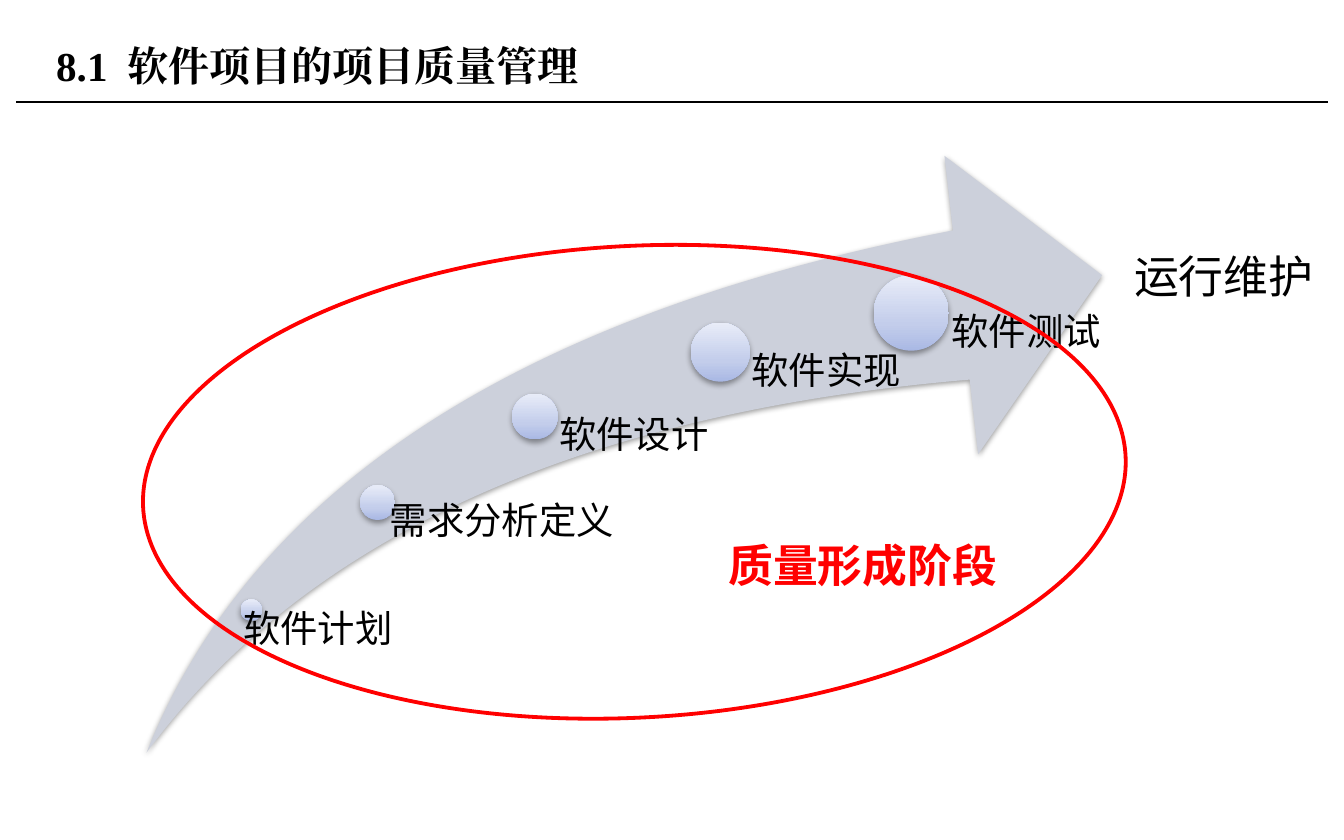
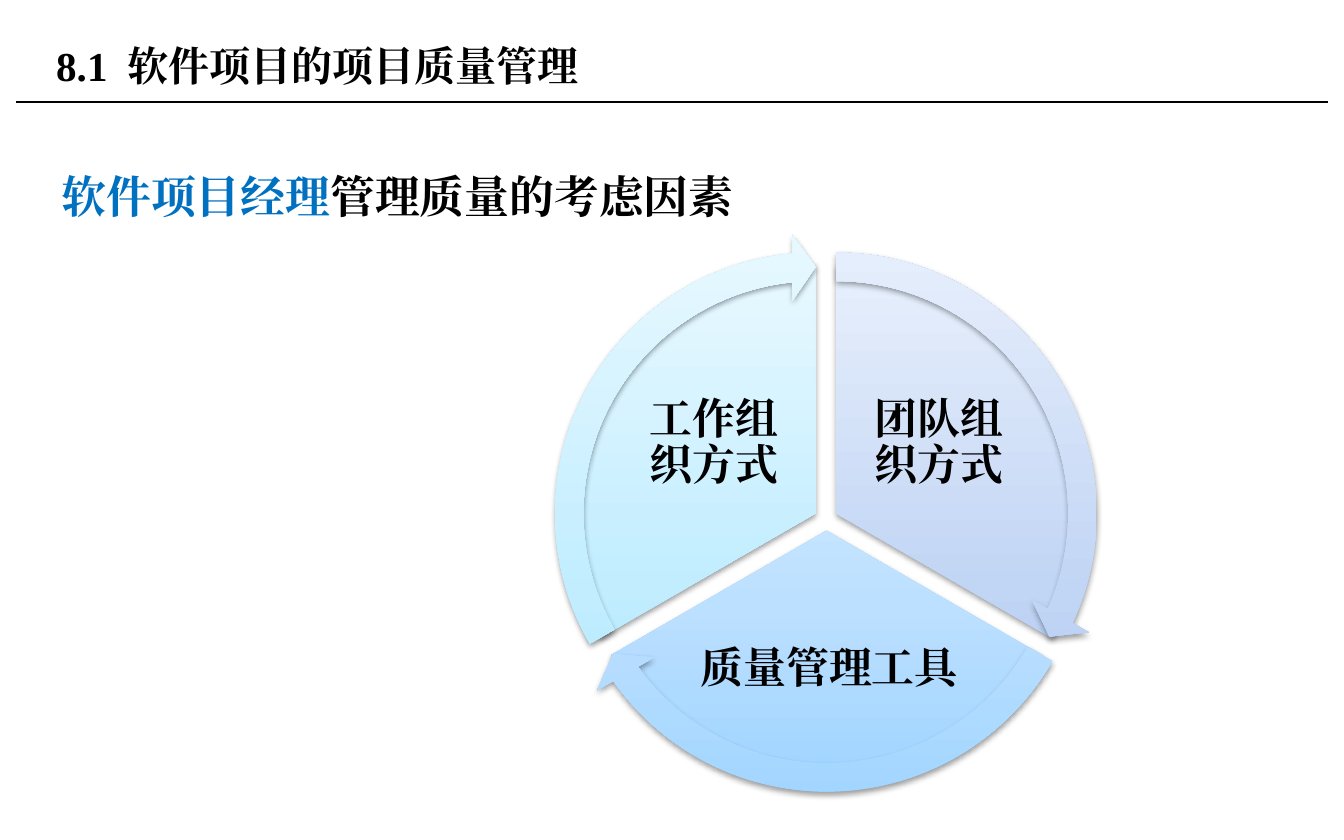
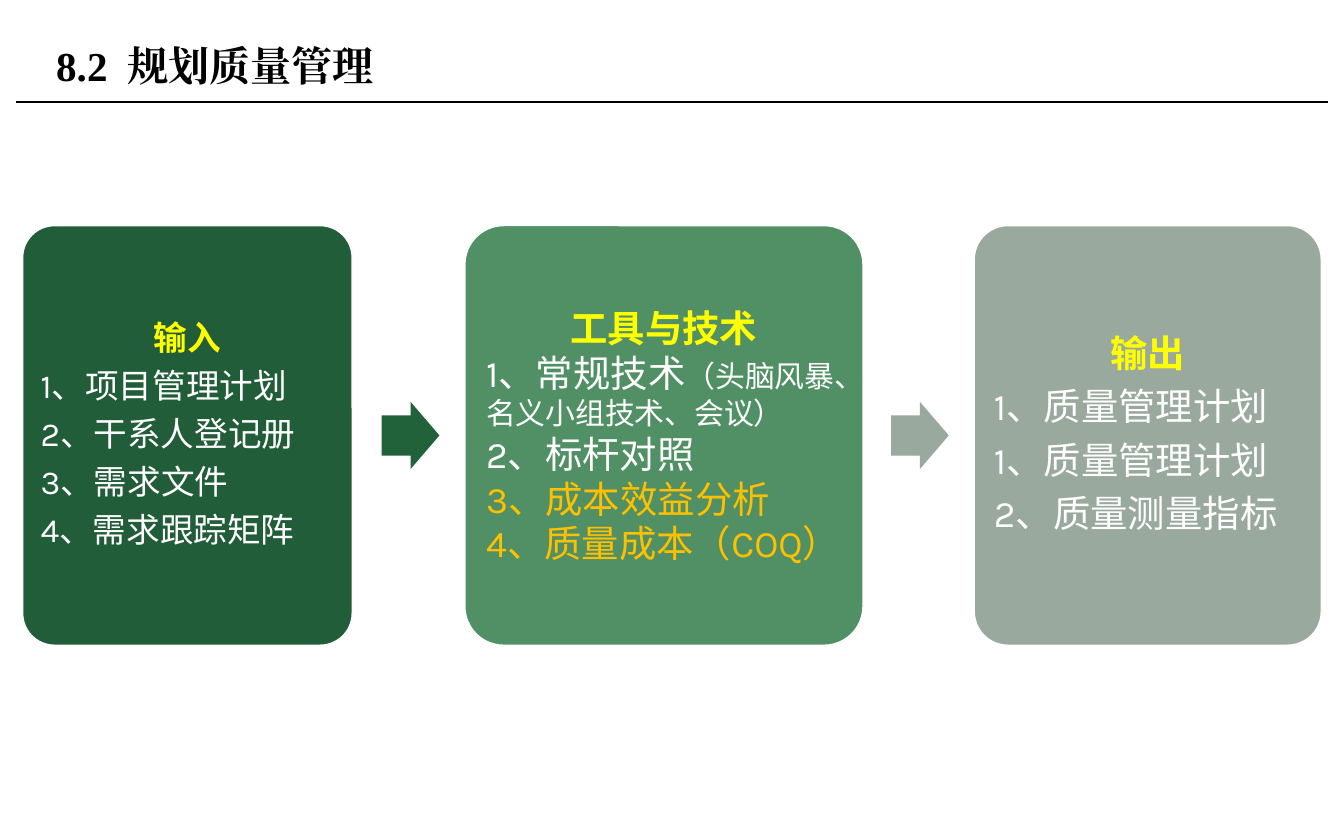
import copy

import lxml.etree
import pptx
import pptx.dml.color
import pptx.enum.shapes
import pptx.enum.text
import pptx.oxml.ns
import pptx.util


class Theme:
    latin = "Karla"
    serif = "Times New Roman"
    sans = "Noto Sans CJK SC"
    black = "000000"
    white = "FFFFFF"
    red = "FF0000"
    blue = "0070C0"
    yellow = "FFFF00"
    amber = "FFC000"
    swoosh = "CCD0DB"
    bead = ["A9B8E4", "C3CDEB", "E8ECF8"]
    indigo = ["A6C4F1", "C1D5F4", "E7EFFC"]
    azure = ["A0D4FF", "BCE0FF", "E5F3FF"]
    cyan = ["A7E6FF", "C1EDFF", "E7F8FF"]
    title_size = 22
    heading_size = 24
    sector_size = 23
    body_size = 20
    compact_size = 18
    note_size = 16


Inches = pptx.util.Inches
Pt = pptx.util.Pt
rgb = pptx.dml.color.RGBColor.from_string
qn = pptx.oxml.ns.qn
Shape = pptx.enum.shapes.MSO_SHAPE
Anchor = pptx.enum.text.MSO_ANCHOR
Align = pptx.enum.text.PP_ALIGN


def write(box, paragraphs, font=Theme.latin, insets=(0.1, 0.05, 0.1, 0.05),
          anchor=Anchor.TOP, aligns=(Align.LEFT,), spacing=None, after=0, wrap=True):
    frame = box.text_frame
    frame.word_wrap = wrap
    frame.vertical_anchor = anchor
    frame.margin_left, frame.margin_top, frame.margin_right, frame.margin_bottom = map(Inches, insets)
    for index, spans in enumerate(paragraphs):
        para = frame.paragraphs[0] if index == 0 else frame.add_paragraph()
        para.alignment = aligns[min(index, len(aligns) - 1)]
        para.space_after = Pt(after)
        if spacing:
            para.line_spacing = spacing
        for text, size, color, bold in spans:
            span = para.add_run()
            span.text = text
            span.font.name = font
            span.font.size = Pt(size)
            span.font.bold = bold
            span.font.color.rgb = rgb(color)
            east_asian = lxml.etree.SubElement(span.font._element, qn("a:ea"))
            east_asian.set("typeface", font)


def add_figure(page, kind, bounds, fill, adjustments=(), raised=False):
    shape = page.shapes.add_shape(kind, *map(Inches, bounds))
    for index, value in enumerate(adjustments):
        shape.adjustments[index] = value
    shape.line.fill.background()
    properties = shape._element.spPr
    if isinstance(fill, list):
        shape.fill.gradient()
        shape.fill.gradient_angle = 90
        stops = properties.find(".//" + qn("a:gsLst"))
        stops.append(copy.deepcopy(stops[0]))
        for stop, color, position in zip(shape.fill.gradient_stops, fill, (0, 0.35, 1)):
            stop.color.rgb = rgb(color)
            stop.position = position
    elif fill:
        shape.fill.solid()
        shape.fill.fore_color.rgb = rgb(fill)
    else:
        shape.fill.background()
    shape.shadow.inherit = False
    if raised:
        effects = properties.find(qn("a:effectLst"))
        shadow = lxml.etree.SubElement(effects, qn("a:outerShdw"), blurRad="40000",
                                       dist="20000", dir="5400000", rotWithShape="0")
        shade = lxml.etree.SubElement(shadow, qn("a:srgbClr"), val=Theme.black)
        lxml.etree.SubElement(shade, qn("a:alpha"), val="38000")
    return shape


deck = pptx.Presentation()
deck.slide_width = Inches(10)
deck.slide_height = Inches(6.25)

titles = ["8.1  软件项目的项目质量管理", "8.1  软件项目的项目质量管理", "8.2  规划质量管理"]
pages = []
for title in titles:
    page = deck.slides.add_slide(deck.slide_layouts[6])
    rule = page.shapes.add_connector(pptx.enum.shapes.MSO_CONNECTOR.STRAIGHT,
                                     Inches(0.12), Inches(0.76), Inches(9.88), Inches(0.76))
    rule.line.color.rgb = rgb(Theme.black)
    rule.line.width = Pt(0.75)
    lxml.etree.SubElement(rule._element.spPr, qn("a:effectLst"))
    box = page.shapes.add_textbox(Inches(0.32), Inches(0.13), Inches(6.38), Inches(0.71))
    write(box, [[(title, Theme.title_size, Theme.black, True)]], Theme.serif, anchor=Anchor.MIDDLE)
    pages.append(page)
stage_page, factor_page, process_page = pages

add_figure(stage_page, Shape.SWOOSH_ARROW, (1.09, 1.16, 7.11, 4.44), Theme.swoosh, (0.25, 0.25), True)
stages = [
    ("软件计划", 1.79, 4.46, 0.16, 1.72, 1.23, 0.09),
    ("需求分析定义", 2.68, 3.61, 0.26, 2.76, 1.95, 0.14),
    ("软件设计", 3.81, 2.93, 0.34, 3.98, 1.37, 0.18),
    ("软件实现", 5.14, 2.4, 0.44, 5.36, 1.42, 0.23),
    ("软件测试", 6.5, 2.05, 0.56, 6.78, 1.42, 0.3),
]
for label, left, top, diameter, label_left, label_width, inset in stages:
    add_figure(stage_page, Shape.OVAL, (left, top, diameter, diameter), Theme.bead, raised=True)
    middle = top + diameter / 2
    box = stage_page.shapes.add_textbox(Inches(label_left), Inches(middle),
                                        Inches(label_width), Inches(5.6 - middle))
    write(box, [[(label, Theme.body_size, Theme.black, False)]], insets=(inset, 0, 0, 0), spacing=0.9)

scope = add_figure(stage_page, Shape.OVAL, (1.06, 1.83, 7.32, 3.51), None)
scope.rotation = 357
scope.line.color.rgb = rgb(Theme.red)
scope.line.width = Pt(2.04)
box = stage_page.shapes.add_textbox(Inches(5.41), Inches(3.99), Inches(2.18), Inches(0.42))
write(box, [[("质量形成阶段", Theme.heading_size, Theme.red, True)]], Theme.sans, (0.01, 0.01, 0, 0))
box = stage_page.shapes.add_textbox(Inches(8.34), Inches(1.8), Inches(1.55), Inches(0.5))
write(box, [[("运行维护", Theme.heading_size, Theme.black, False)]], wrap=False)

box = factor_page.shapes.add_textbox(Inches(0.36), Inches(0.81), Inches(8.98), Inches(3.9))
write(box, [[("软件项目经理", Theme.heading_size, Theme.blue, True),
             ("管理质量的考虑因素", Theme.heading_size, Theme.black, True)]], Theme.serif, spacing=2)

sectors = [
    ("团队组织方式", 4.37, 1.97, (162, 18), (14.725, 161.994), Theme.indigo, (6.33, 2.75, 1.32, 1.1)),
    ("质量管理工具", 4.3, 2.1, (18, 90), (86.72, 18.005), Theme.azure, (5.18, 4.5, 1.98, 0.97)),
    ("工作组织方式", 4.22, 1.97, (90, 162), (158.73, 90), Theme.cyan, (4.65, 2.75, 1.32, 1.1)),
]
for label, left, top, angles, sweep, colors, label_bounds in sectors:
    add_figure(factor_page, Shape.PIE, (left, top, 3.7, 3.7), colors, angles, True)
    box = factor_page.shapes.add_textbox(*map(Inches, label_bounds))
    write(box, [[(label, Theme.sector_size, Theme.black, True)]], Theme.serif,
          (0.03, 0.03, 0.03, 0.03), Anchor.MIDDLE, (Align.CENTER,), 0.9)
for label, left, top, angles, sweep, colors, label_bounds in sectors:
    add_figure(factor_page, Shape.CIRCULAR_ARROW, (left - 0.23, top - 0.23, 4.16, 4.16),
               colors, (0.051, 3.275, *sweep, 0.059), True)

cards = [
    ("输入", 0.16, 2.47, "215D38", Theme.compact_size, 0.07, 0.9, 0.35,
     [[("1、项目管理计划",)], [("2、干系人登记册",)], [("3、需求文件",)], [("4、需求跟踪矩阵",)]]),
    ("工具与技术", 3.45, 2.98, "519065", Theme.body_size, 0.08, None, 0,
     [[("1、常规技术",), ("（头脑风暴、名义小组技术、会议）", Theme.white, Theme.note_size)],
      [("2、标杆对照",)], [("3、成本效益分析", Theme.amber)], [("4、质量成本（COQ）", Theme.amber)]]),
    ("输出", 7.24, 2.6, "9AA99E", Theme.body_size, 0.08, 0.9, 0.35,
     [[("1、质量管理计划",)], [("1、质量管理计划",)], [("2、质量测量指标",)]]),
]
for heading, left, width, fill, size, inset, spacing, gap, items in cards:
    card = add_figure(process_page, Shape.ROUNDED_RECTANGLE, (left, 1.67, width, 3.14), fill, (0.1,))
    card.line.color.rgb = rgb(Theme.white)
    card.line.width = Pt(2)
    paragraphs = [[(heading, size, Theme.yellow, True)]]
    for item in items:
        spans = []
        for text, *style in item:
            color = style[0] if style else Theme.white
            spans.append((text, style[1] if len(style) > 1 else size, color, False))
        paragraphs.append(spans)
    write(card, paragraphs, insets=(inset,) * 4, anchor=Anchor.MIDDLE,
          aligns=(Align.CENTER, Align.LEFT), spacing=spacing, after=gap * size)
for left, fill in [(2.84, "22623B"), (6.63, "99A99D")]:
    add_figure(process_page, Shape.RIGHT_ARROW, (left, 2.99, 0.43, 0.5), fill, (0.6, 0.5))

deck.save("out.pptx")
